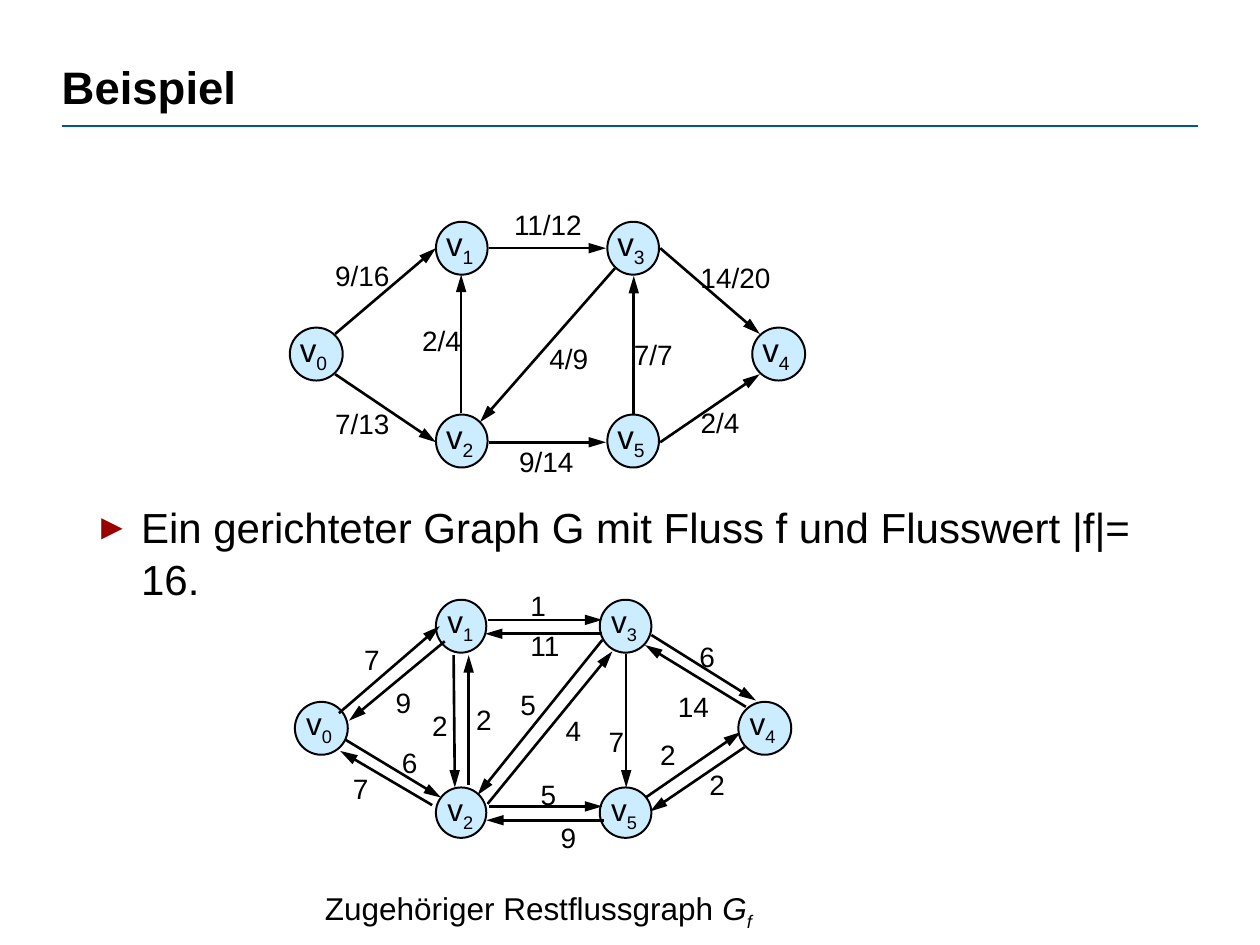
from dataclasses import dataclass
from math import ceil
from typing import NamedTuple

from lxml import etree
from pptx import Presentation, util as u
from pptx.dml.color import RGBColor
from pptx.enum import shapes as sh, text as tx
from pptx.oxml.ns import qn

PX = 9144  # EMU in one px, 100 px to the inch


@dataclass(frozen=True)
class Theme:
    font: str = "Arial"
    ink: str = "000000"
    rule: str = "005890"
    node: str = "CCECFF"
    bullet: str = "990000"
    title: int = 26
    body: int = 24
    note: int = 18
    label: int = 16
    ring: float = 1.13
    edge: float = 1.5
    thin: float = 0.75


class Box(NamedTuple):
    x: int
    y: int
    w: int
    h: int


class Node(NamedTuple):
    sub: str
    box: Box


class Edge(NamedTuple):
    x1: int
    y1: int
    x2: int
    y2: int


class Label(NamedTuple):
    text: str
    x: int
    y: int


class Graph(NamedTuple):
    size: int   # type size of the node names
    dx: int     # offset of the names inside the nodes
    dy: int
    nodes: list
    labels: list
    edges: list
    under: list  # edges that run behind the nodes


T = Theme()

FLOW = Graph(
    19, 8, 1,
    [Node("4", Box(597, 260, 42, 42)), Node("0", Box(230, 260, 42, 42)),
     Node("1", Box(346, 176, 41, 42)), Node("2", Box(346, 329, 41, 42)),
     Node("3", Box(482, 176, 41, 42)), Node("5", Box(482, 329, 41, 42))],
    [Label("9/16", 266, 205), Label("11/12", 408, 165), Label("14/20", 556, 207),
     Label("2/4", 556, 322), Label("7/7", 503, 268), Label("4/9", 436, 271),
     Label("9/14", 412, 353), Label("2/4", 335, 257), Label("7/13", 266, 323)],
    [Edge(266, 265, 346, 197), Edge(266, 297, 346, 351),
     Edge(388, 197, 481, 197), Edge(388, 351, 481, 351),
     Edge(524, 351, 603, 297), Edge(524, 197, 603, 265),
     Edge(503, 329, 503, 219), Edge(488, 213, 381, 335),
     Edge(366, 328, 366, 218)],
    [],
)

REST = Graph(
    18, 9, 2,
    [Node("4", Box(586, 557, 42, 42)), Node("0", Box(234, 557, 42, 42)),
     Node("1", Box(346, 476, 40, 42)), Node("2", Box(346, 625, 40, 40)),
     Node("3", Box(476, 476, 41, 42)), Node("5", Box(476, 625, 41, 40))],
    [Label("7", 289, 510), Label("1", 421, 467), Label("6", 555, 508),
     Label("2", 563, 609), Label("7", 483, 575), Label("5", 413, 546),
     Label("5", 429, 617), Label("2", 343, 562), Label("2", 378, 558),
     Label("7", 280, 612), Label("11", 421, 499), Label("4", 449, 566),
     Label("9", 314, 544), Label("6", 319, 592), Label("9", 445, 651),
     Label("2", 524, 585), Label("14", 538, 547)],
    [Edge(269, 566, 349, 497), Edge(353, 509, 277, 572),
     Edge(387, 638, 486, 517), Edge(478, 508, 379, 631),
     Edge(387, 492, 478, 492), Edge(478, 503, 385, 503),
     Edge(274, 587, 350, 633), Edge(343, 639, 270, 596),
     Edge(388, 640, 478, 640), Edge(479, 651, 386, 651),
     Edge(517, 504, 600, 556), Edge(592, 561, 512, 512),
     Edge(497, 519, 497, 625), Edge(360, 520, 361, 625),
     Edge(372, 623, 372, 520)],
    [Edge(508, 636, 588, 581), Edge(591, 593, 516, 644)],
)


def hue(code: str) -> RGBColor:
    return RGBColor.from_string(code)


def write(slide, box: Box, text: str, size: int, wrap: bool = False,
          pad: tuple = (0, 0, 0, 0)):
    """Add a text box and give back its only paragraph."""
    frame = slide.shapes.add_textbox(*(v * PX for v in box)).text_frame
    frame.word_wrap = wrap
    if not wrap:
        frame.auto_size = tx.MSO_AUTO_SIZE.SHAPE_TO_FIT_TEXT
    (frame.margin_left, frame.margin_top,
     frame.margin_right, frame.margin_bottom) = (v * PX for v in pad)
    frame.vertical_anchor = tx.MSO_ANCHOR.TOP
    para = frame.paragraphs[0]
    para.font.name, para.font.size = T.font, u.Pt(size)
    para.font.color.rgb = hue(T.ink)
    para.add_run().text = text
    return para


def lower(para, text: str):
    """Append a subscript run."""
    run = para.add_run()
    run.text = text
    run.font._element.set("baseline", "-25000")
    return run


def draw_line(slide, edge: Edge, color: str, width: float, arrow: bool = True) -> None:
    line = slide.shapes.add_connector(
        sh.MSO_CONNECTOR.STRAIGHT, *(v * PX for v in edge))
    line.line.color.rgb = hue(color)
    line.line.width = u.Pt(width)
    if arrow:
        etree.SubElement(line.line._get_or_add_ln(), qn("a:tailEnd"),
                         type="triangle", w="med", len="lg")
    etree.SubElement(line._element.spPr, qn("a:effectLst"))


def draw_node(slide, node: Node, graph: Graph) -> None:
    oval = slide.shapes.add_shape(sh.MSO_SHAPE.OVAL, *(v * PX for v in node.box))
    oval.shadow.inherit = False
    oval.fill.solid()
    oval.fill.fore_color.rgb = hue(T.node)
    oval.line.color.rgb = hue(T.ink)
    oval.line.width = u.Pt(T.ring)
    name = Box(node.box.x + graph.dx, node.box.y + graph.dy, 22, 31)
    lower(write(slide, name, "v", graph.size), node.sub)


def draw_graph(slide, graph: Graph) -> None:
    for edge in graph.under:
        draw_line(slide, edge, T.ink, T.edge)
    for node in graph.nodes:
        draw_node(slide, node, graph)
    for label in graph.labels:
        wide = ceil(sum(6.2 if sign == "/" else 12.4 for sign in label.text))
        write(slide, Box(label.x, label.y, wide, 27), label.text, T.label)
    for edge in graph.edges:
        draw_line(slide, edge, T.ink, T.edge)


def add_bullet(para, left: int, hang: int) -> None:
    props = para._p.get_or_add_pPr()
    props.set("marL", str(left * PX))
    props.set("indent", str(-hang * PX))
    color = etree.Element(qn("a:buClr"))
    etree.SubElement(color, qn("a:srgbClr"), val=T.bullet)
    size = etree.Element(qn("a:buSzPct"), val="85000")
    face = etree.Element(qn("a:buFont"), typeface=T.font)
    sign = etree.Element(qn("a:buChar"), char="►")
    font = props.find(qn("a:defRPr"))
    for part in (color, size, face, sign):
        font.addprevious(part)


def main() -> None:
    deck = Presentation()
    deck.slide_width, deck.slide_height = 1000 * PX, 750 * PX
    slide = deck.slides.add_slide(deck.slide_layouts[6])

    # Title and rule
    draw_line(slide, Edge(49, 100, 951, 100), T.rule, T.thin, arrow=False)
    title = write(slide, Box(49, 47, 900, 68), "Beispiel", T.title, True)
    title.font.bold = True

    # Statement below the first graph
    body = write(slide, Box(49, 397, 900, 300),
                 "Ein gerichteter Graph G mit Fluss f und Flusswert |f|= 16.",
                 T.body, True)
    body.line_spacing = 1.03
    add_bullet(body, 63, 37)

    # Flow graph
    draw_graph(slide, FLOW)

    # Residual graph with caption
    note = write(slide, Box(248, 701, 410, 40), "Zugehöriger Restflussgraph ",
                 T.note, True, (10, 5, 10, 5))
    sign = note.add_run()
    sign.text = "G"
    for run in (sign, lower(note, "f")):
        run.font.italic = True
    draw_graph(slide, REST)

    deck.save("out.pptx")


if __name__ == "__main__":
    main()
